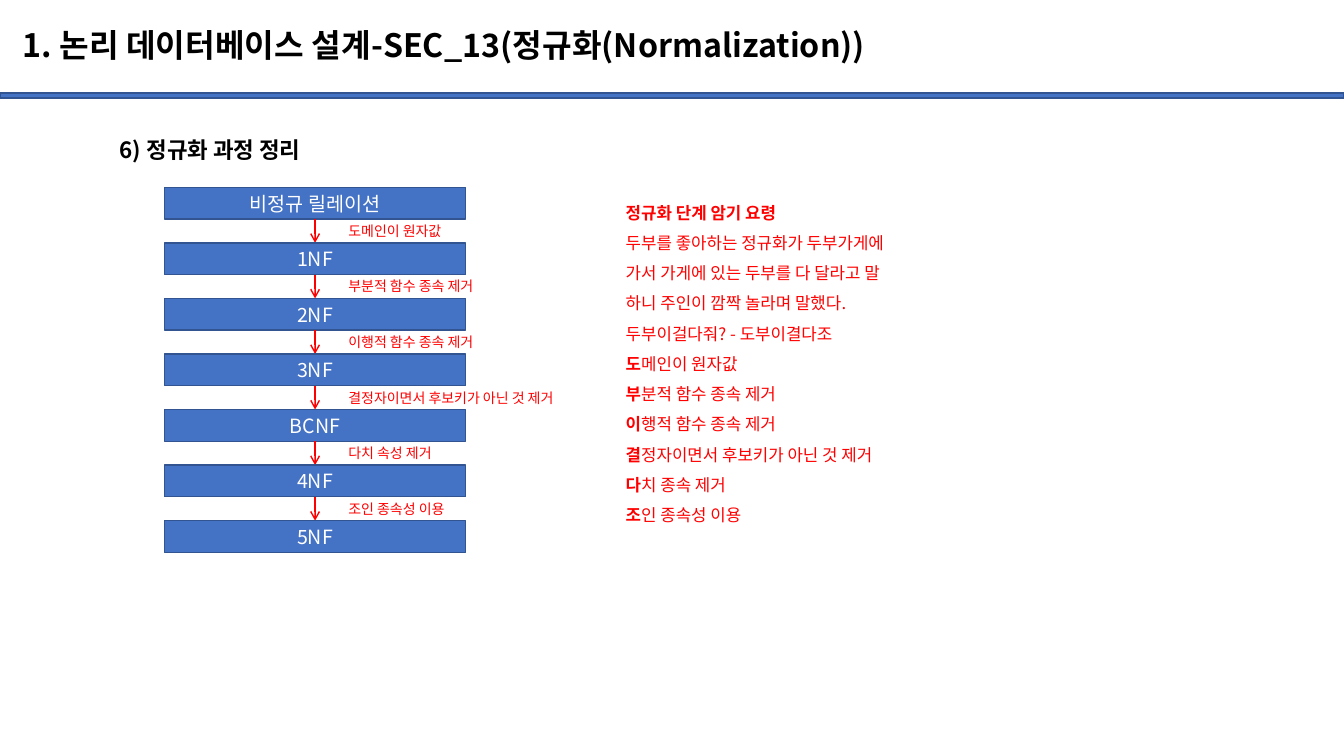
from dataclasses import dataclass

from lxml.etree import SubElement
from pptx import Presentation
from pptx.dml.color import RGBColor
from pptx.enum.shapes import MSO_CONNECTOR as Connector, MSO_SHAPE as Shape
from pptx.enum.text import MSO_ANCHOR as Anchor, PP_ALIGN as Align
from pptx.oxml.ns import qn
from pptx.util import Cm, Pt

FONT = "Noto Sans CJK KR"
COLORS = {"blue": "4472C4", "edge": "325491", "red": "FF0000",
          "black": "000000", "white": "FFFFFF"}

SLIDE_W, SLIDE_H = 33.87, 19.05
BOX_X, BOX_Y, BOX_W, BOX_H = 4.14, 4.72, 7.6, 0.8
STEP = 1.4
LABEL_X, LABEL_DY, LABEL_H = 8.53, 0.76, 0.68


@dataclass(frozen=True)
class Stage:
    """A normal form and the condition that leads to the next one."""
    name: str
    rule: str = ""
    rule_width: float = 4.93


@dataclass(frozen=True)
class MemoLine:
    bold: str = ""
    plain: str = ""


STAGES = [
    Stage("비정규 릴레이션", "도메인이 원자값"),
    Stage("1NF", "부분적 함수 종속 제거"),
    Stage("2NF", "이행적 함수 종속 제거"),
    Stage("3NF", "결정자이면서 후보키가 아닌 것 제거", 8.61),
    Stage("BCNF", "다치 속성 제거", 8.61),
    Stage("4NF", "조인 종속성 이용", 5.79),
    Stage("5NF"),
]

MEMO = [
    MemoLine("정규화 단계 암기 요령"),
    MemoLine(plain="두부를 좋아하는 정규화가 두부가게에"),
    MemoLine(plain="가서 가게에 있는 두부를 다 달라고 말"),
    MemoLine(plain="하니 주인이 깜짝 놀라며 말했다."),
    MemoLine(plain="두부이걸다줘? - 도부이결다조"),
    MemoLine("도", "메인이 원자값"),
    MemoLine("부", "분적 함수 종속 제거"),
    MemoLine("이", "행적 함수 종속 제거"),
    MemoLine("결", "정자이면서 후보키가 아닌 것 제거"),
    MemoLine("다", "치 종속 제거"),
    MemoLine("조", "인 종속성 이용"),
]


def rgb(name: str) -> RGBColor:
    return RGBColor.from_string(COLORS[name])


def add_run(p, text: str, size: float, color: str, bold: bool = False) -> None:
    r = p.add_run()
    r.text = text
    r.font.size = Pt(size)
    r.font.bold = bold
    r.font.color.rgb = rgb(color)
    r.font.name = FONT
    SubElement(r.font._element, qn("a:ea"), typeface=FONT)


def add_text_frame(s, x: float, y: float, w: float, h: float):
    tf = s.shapes.add_textbox(Cm(x), Cm(y), Cm(w), Cm(h)).text_frame
    tf.word_wrap = True
    return tf


def add_bar(s, x: float, y: float, w: float, h: float):
    """Add a blue rectangle with a dark blue edge."""
    sp = s.shapes.add_shape(Shape.RECTANGLE, Cm(x), Cm(y), Cm(w), Cm(h))
    sp.shadow.inherit = False
    sp.fill.solid()
    sp.fill.fore_color.rgb = rgb("blue")
    sp.line.color.rgb = rgb("edge")
    sp.line.width = Pt(1)
    return sp


def add_down_arrow(s, x: float, top: float, bottom: float) -> None:
    line = s.shapes.add_connector(Connector.STRAIGHT, Cm(x), Cm(top), Cm(x), Cm(bottom))
    line.line.color.rgb = rgb("red")
    line.line.width = Pt(1)
    SubElement(line.line._get_or_add_ln(), qn("a:tailEnd"), type="arrow")
    SubElement(line._element.spPr, qn("a:effectLst"))


def add_heading(s) -> None:
    add_bar(s, 0, 2.34, SLIDE_W, 0.13)
    tf = add_text_frame(s, 0.33, 0.25, 32.2, 1.88)
    tf.vertical_anchor = Anchor.MIDDLE
    p = tf.paragraphs[0]
    p.line_spacing = 0.9
    add_run(p, "1. 논리 데이터베이스 설계-SEC_13(정규화(Normalization))", 23, "black", True)

    p = add_text_frame(s, 2.77, 2.97, 29.77, 1.3).paragraphs[0]
    p.line_spacing = 1.5
    add_run(p, "6) 정규화 과정 정리", 16, "black", True)


def add_stages(s) -> None:
    for i, stage in enumerate(STAGES):
        y = BOX_Y + i * STEP
        tf = add_bar(s, BOX_X, y, BOX_W, BOX_H).text_frame
        tf.vertical_anchor = Anchor.MIDDLE
        p = tf.paragraphs[0]
        p.alignment = Align.CENTER
        add_run(p, stage.name, 14, "white")
        if stage.rule:
            add_down_arrow(s, BOX_X + BOX_W / 2, y + BOX_H, y + STEP)
            tf = add_text_frame(s, LABEL_X, y + LABEL_DY, stage.rule_width, LABEL_H)
            add_run(tf.paragraphs[0], stage.rule, 10, "red")


def add_memo(s) -> None:
    tf = add_text_frame(s, 15.52, 4.72, 8.61, 8.71)
    for i, line in enumerate(MEMO):
        p = tf.add_paragraph() if i else tf.paragraphs[0]
        p.line_spacing = 1.5
        if line.bold:
            add_run(p, line.bold, 12, "red", True)
        if line.plain:
            add_run(p, line.plain, 12, "red")


def main() -> None:
    prs = Presentation()
    prs.slide_width, prs.slide_height = Cm(SLIDE_W), Cm(SLIDE_H)
    s = prs.slides.add_slide(prs.slide_layouts[6])
    add_heading(s)
    add_stages(s)
    add_memo(s)
    prs.save("out.pptx")


if __name__ == "__main__":
    main()
